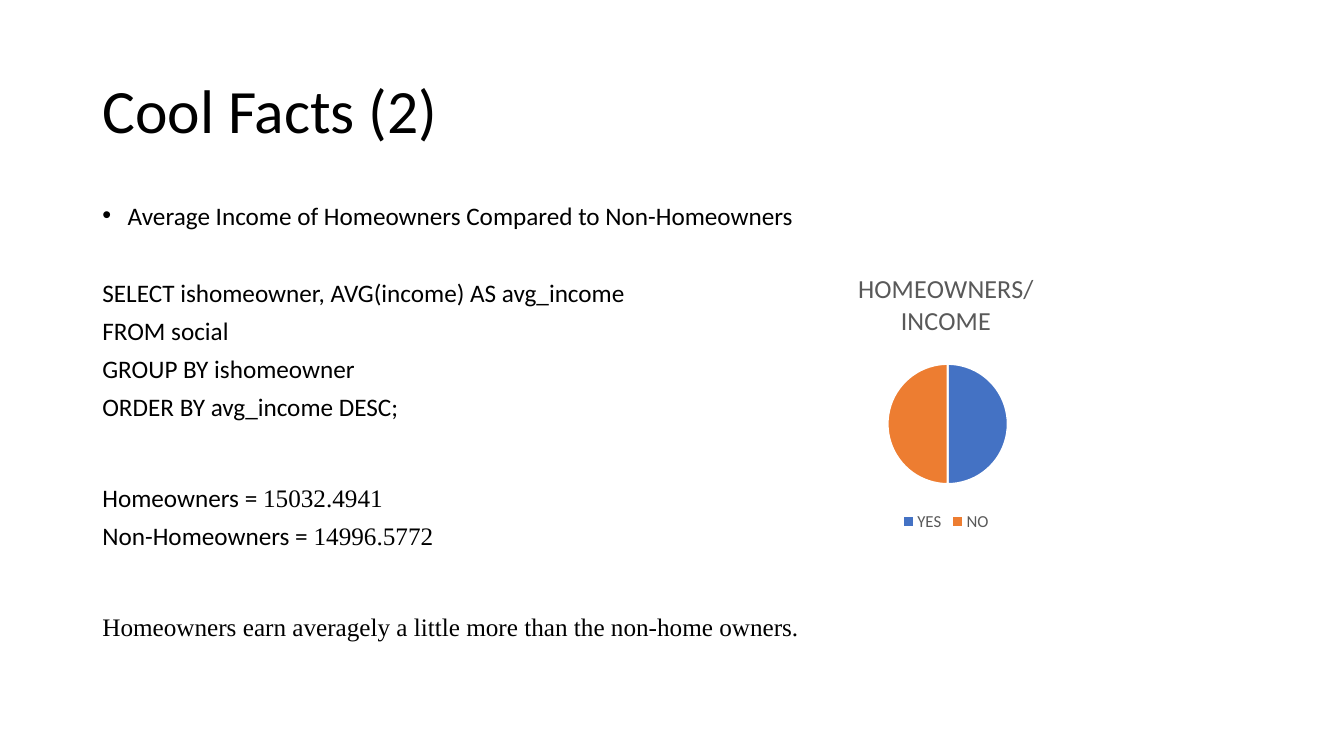
from lxml.etree import SubElement
from pptx import Presentation
from pptx.chart.data import CategoryChartData
from pptx.dml.color import RGBColor
from pptx.enum.chart import XL_CHART_TYPE, XL_LEGEND_POSITION
from pptx.enum.text import MSO_ANCHOR
from pptx.oxml import parse_xml
from pptx.oxml.ns import nsdecls, qn
from pptx.util import Cm, Pt

COLOURS = {"text": "000000", "chart text": "595959", "edge": "FFFFFF",
           "YES": "4472C4", "NO": "ED7D31"}
SANS, SERIF = "Calibri", "Times New Roman"
TITLE = "Cool Facts (2)"
NORMAL, AFTER_BULLET, NEW_BLOCK = 10, 37.6, 47.3
FACTS = [
    (NORMAL, [("Average Income of Homeowners Compared to Non-Homeowners", SANS)]),
    (AFTER_BULLET, [("SELECT ishomeowner, AVG(income) AS avg_income", SANS)]),
    (NORMAL, [("FROM social", SANS)]),
    (NORMAL, [("GROUP BY ishomeowner", SANS)]),
    (NORMAL, [("ORDER BY avg_income DESC;", SANS)]),
    (NEW_BLOCK, [("Homeowners = ", SANS), ("15032.4941", SERIF)]),
    (NORMAL, [("Non-Homeowners = ", SANS), ("14996.5772", SERIF)]),
    (NEW_BLOCK, [("Homeowners earn averagely a little more than the non-home owners.", SERIF)]),
]
CHART_TITLE = ["HOMEOWNERS/", "INCOME"]
SHARES = {"YES": 50, "NO": 50}
PIE_AREA = {"x": 0.33, "y": 0.38, "w": 0.35, "h": 0.44}


def colour(name):
    return RGBColor.from_string(COLOURS[name])


def style(font, size, name="text", typeface=SANS):
    font.size = Pt(size)
    font.name = typeface
    font.bold = False
    font.color.rgb = colour(name)


def add_text_frame(slide, top, height, anchor):
    frame = slide.shapes.add_textbox(Cm(2.33), Cm(top), Cm(29.21), Cm(height)).text_frame
    frame.word_wrap = True
    frame.vertical_anchor = anchor
    return frame


def add_bullet(paragraph):
    properties = paragraph._p.get_or_add_pPr()
    properties.set("marL", str(Cm(0.64)))
    properties.set("indent", str(-Cm(0.64)))
    SubElement(properties, qn("a:buFont")).set("typeface", "Arial")
    SubElement(properties, qn("a:buChar")).set("char", "•")


def add_facts(slide):
    frame = add_text_frame(slide, 5.07, 12.09, MSO_ANCHOR.TOP)
    for index, (space, runs) in enumerate(FACTS):
        paragraph = frame.add_paragraph() if index else frame.paragraphs[0]
        paragraph.line_spacing = 0.8
        paragraph.space_before = Pt(space)
        for text, typeface in runs:
            run = paragraph.add_run()
            run.text = text
            style(run.font, 18, typeface=typeface)
    add_bullet(frame.paragraphs[0])


def add_pie(slide):
    data = CategoryChartData()
    data.categories = list(SHARES)
    data.add_series("Series 1", list(SHARES.values()))
    chart = slide.shapes.add_chart(XL_CHART_TYPE.PIE, Cm(19.51), Cm(6.48),
                                   Cm(8.66), Cm(7.01), data).chart
    style(chart.font, 10)
    chart.has_title = True
    frame = chart.chart_title.text_frame
    frame.text = "\n".join(CHART_TITLE)
    for paragraph in frame.paragraphs:
        style(paragraph.font, 18.6, "chart text")
    chart.chart_title.include_in_layout = False

    chart.has_legend = True
    chart.legend.position = XL_LEGEND_POSITION.BOTTOM
    chart.legend.include_in_layout = False
    style(chart.legend.font, 12, "chart text")

    plot = chart.plots[0]
    plot.vary_by_categories = True
    for index, answer in enumerate(SHARES):
        slice_format = plot.series[0].points[index].format
        slice_format.fill.solid()
        slice_format.fill.fore_color.rgb = colour(answer)
        slice_format.line.color.rgb = colour("edge")
        slice_format.line.width = Pt(1.5)

    modes = "".join(f'<c:{side}Mode val="edge"/>' for side in "xy")
    sizes = "".join(f'<c:{side} val="{value}"/>' for side, value in PIE_AREA.items())
    plot_area = chart._chartSpace.chart.plotArea
    for layout in plot_area.findall(qn("c:layout")):
        plot_area.remove(layout)
    plot_area.insert(0, parse_xml(
        f'<c:layout {nsdecls("c")}><c:manualLayout><c:layoutTarget val="inner"/>'
        f'{modes}{sizes}</c:manualLayout></c:layout>'))


presentation = Presentation()
presentation.slide_width, presentation.slide_height = Cm(33.87), Cm(19.05)
slide = presentation.slides.add_slide(presentation.slide_layouts[6])

title = add_text_frame(slide, 1.01, 3.68, MSO_ANCHOR.MIDDLE).paragraphs[0]
title.text = TITLE
title.line_spacing = 0.9
style(title.font, 44)
add_facts(slide)
add_pie(slide)

presentation.save("out.pptx")
